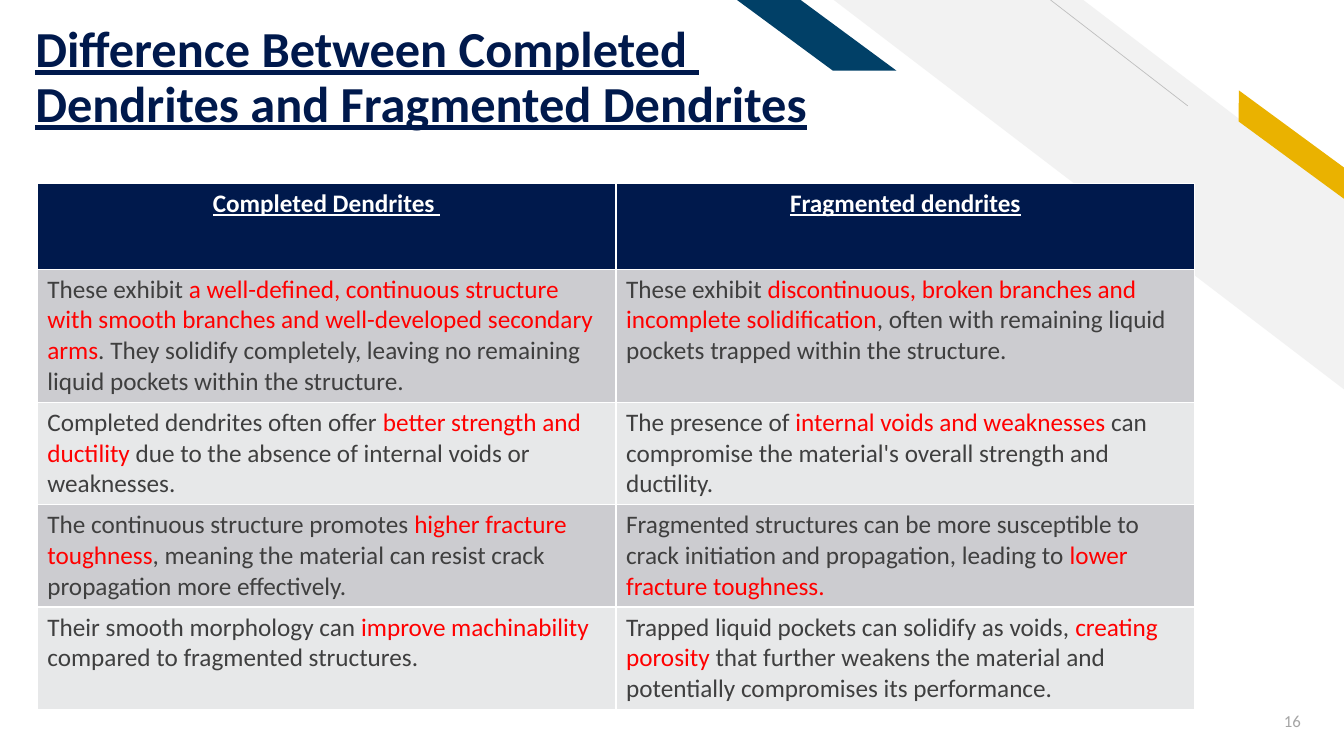
import pptx
import pptx.dml.color
import pptx.enum.shapes
import pptx.enum.text
import pptx.oxml.ns
import pptx.util
import lxml.etree

Inches = pptx.util.Inches
SHAPES = pptx.enum.shapes.MSO_SHAPE
ALIGN = pptx.enum.text.PP_ALIGN
ANCHOR = pptx.enum.text.MSO_ANCHOR

COLORS = {
    "navy": "00194C", "teal": "014067", "gold": "EAB200", "band": "F2F2F2",
    "hairline": "BFBFBF", "body": "3F3F3F", "key": "FF0000", "number": "A5A5A5",
    "white": "FFFFFF", "odd_row": "CCCCD0", "even_row": "E7E8E9",
}

HEADINGS = ["Completed Dendrites ", "Fragmented dendrites"]
# Key phrases stand between asterisks
COMPARISON = [
    ["These exhibit *a well-defined, continuous structure with smooth branches and "
     "well-developed secondary arms*. They solidify completely, leaving no remaining "
     "liquid pockets within the structure.",
     "These exhibit *discontinuous, broken branches and incomplete solidification*, "
     "often with remaining liquid pockets trapped within the structure."],
    ["Completed dendrites often offer *better strength and ductility* due to the "
     "absence of internal voids or weaknesses.",
     "The presence of *internal voids and weaknesses *can compromise the material's "
     "overall strength and ductility."],
    ["The continuous structure promotes *higher fracture toughness*, meaning the "
     "material can resist crack propagation more effectively.",
     "Fragmented structures can be more susceptible to crack initiation and "
     "propagation, leading to *lower fracture toughness.*"],
    ["Their smooth morphology can *improve machinability *compared to fragmented "
     "structures.",
     "Trapped liquid pockets can solidify as voids, *creating porosity* that further "
     "weakens the material and potentially compromises its performance."],
]
ROW_HEIGHTS = [0.85, 0.85, 0.97, 0.85, 0.85]


def rgb(name):
    return pptx.dml.color.RGBColor.from_string(COLORS[name])


def add_text(paragraph, text, size=18, color="body", bold=False, underline=False,
             font="Calibri"):
    """Append one formatted run to a paragraph."""
    run = paragraph.add_run()
    run.text = text
    run.font.name = font
    run.font.size = pptx.util.Pt(size)
    run.font.bold = bold
    run.font.underline = underline
    run.font.color.rgb = rgb(color)


class SlideBuilder:
    def __init__(self, slide):
        self.slide = slide
        self.shapes = slide.shapes

    def ornament(self, kind, box, color, adjustment, rotation=0):
        """Filled preset shape, mirrored left to right."""
        shape = self.shapes.add_shape(kind, *map(Inches, box))
        shape.adjustments[0] = adjustment
        shape.rotation = rotation
        shape._element.spPr.xfrm.set("flipH", "1")
        shape.shadow.inherit = False
        shape.fill.solid()
        shape.fill.fore_color.rgb = rgb(color)
        shape.line.fill.background()

    def hairline(self, start, end):
        line = self.shapes.add_connector(
            pptx.enum.shapes.MSO_CONNECTOR.STRAIGHT, *map(Inches, start + end))
        line.line.color.rgb = rgb("hairline")
        line.line.width = pptx.util.Pt(0.5)
        lxml.etree.SubElement(line._element.spPr, pptx.oxml.ns.qn("a:effectLst"))

    def title(self, lines, box):
        heading = self.shapes.title
        heading.left, heading.top, heading.width, heading.height = map(Inches, box)
        frame = heading.text_frame
        frame.auto_size = pptx.enum.text.MSO_AUTO_SIZE.NONE
        frame.vertical_anchor = ANCHOR.BOTTOM
        frame.margin_bottom = 0
        paragraph = frame.paragraphs[0]
        paragraph.alignment = ALIGN.LEFT
        paragraph.line_spacing = 0.9
        for index, line in enumerate(lines):
            if index:
                paragraph.add_line_break()
            add_text(paragraph, line, size=36, color="navy", bold=True, underline=True)

    def page_number(self, number, box):
        frame = self.shapes.add_textbox(*map(Inches, box)).text_frame
        frame.word_wrap = True
        frame.vertical_anchor = ANCHOR.MIDDLE
        frame.paragraphs[0].alignment = ALIGN.RIGHT
        add_text(frame.paragraphs[0], number, size=12, color="number")

    def fill_cell(self, cell, color):
        cell.fill.solid()
        cell.fill.fore_color.rgb = rgb(color)
        return cell.text_frame.paragraphs[0]

    def table(self, headings, rows, heights, box):
        table = self.shapes.add_table(
            len(rows) + 1, len(headings), *map(Inches, box)).table
        for row, height in zip(table.rows, heights):
            row.height = Inches(height)
        for column, heading in enumerate(headings):
            paragraph = self.fill_cell(table.cell(0, column), "navy")
            paragraph.alignment = ALIGN.CENTER
            add_text(paragraph, heading, color="white", bold=True, underline=True)
        for index, statements in enumerate(rows, start=1):
            shade = "odd_row" if index % 2 else "even_row"
            for column, statement in enumerate(statements):
                paragraph = self.fill_cell(table.cell(index, column), shade)
                for part, words in enumerate(statement.split("*")):
                    if words:
                        add_text(paragraph, words, color="key" if part % 2 else "body")


def main():
    deck = pptx.Presentation()
    deck.slide_width, deck.slide_height = Inches(13.33), Inches(7.5)
    page = SlideBuilder(deck.slides.add_slide(deck.slide_layouts.get_by_name("Title Only")))

    # Corner ornaments
    page.ornament(SHAPES.DIAGONAL_STRIPE, (8.27, 0, 5.07, 3.87), "band", 0.512)
    page.hairline((11.78, 1.05), (10.42, 0))
    page.ornament(SHAPES.PARALLELOGRAM, (12.07, 1.31, 1.48, 0.25), "gold", 0.72, 36.3)
    page.ornament(SHAPES.PARALLELOGRAM, (7.31, 0, 1.58, 0.7), "teal", 1.356)

    # Title, comparison table and page number
    page.title(["Difference Between Completed ", "Dendrites and Fragmented Dendrites"],
               (0.25, 0, 8.81, 1.32))
    page.table(HEADINGS, COMPARISON, ROW_HEIGHTS, (0.37, 1.82, 11.48, sum(ROW_HEIGHTS)))
    page.page_number("16", (12.19, 6.95, 0.81, 0.4))

    deck.save("out.pptx")


if __name__ == "__main__":
    main()
